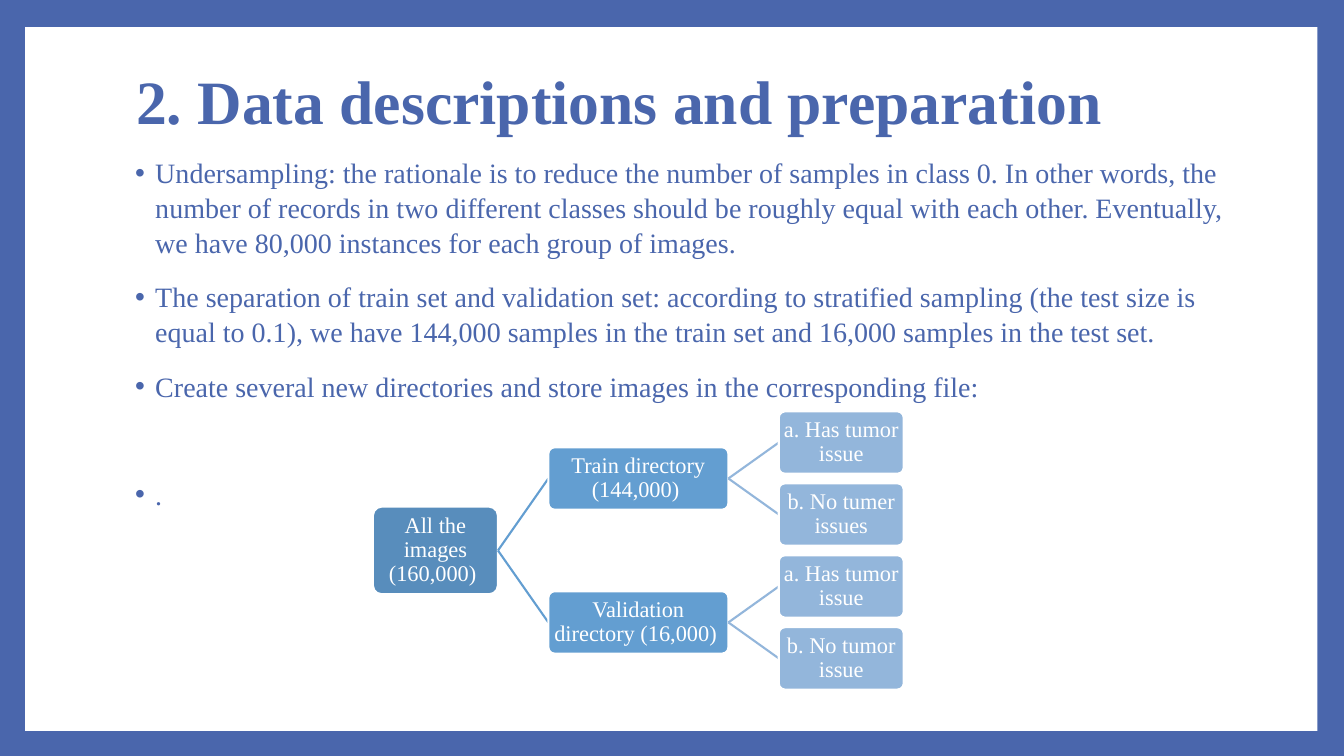
"""Builds the data preparation slide with its directory tree."""
import dataclasses

import pptx
import pptx.dml.color
import pptx.enum.shapes
import pptx.enum.text
import pptx.oxml.ns
import pptx.util
from lxml import etree

Pt = pptx.util.Pt
RGB = pptx.dml.color.RGBColor.from_string
SHAPES = pptx.enum.shapes.MSO_SHAPE
ALIGN = pptx.enum.text.PP_ALIGN
ANCHOR = pptx.enum.text.MSO_ANCHOR
NO_FIT = pptx.enum.text.MSO_AUTO_SIZE.NONE


@dataclasses.dataclass(frozen=True)
class Theme:
    typeface: str = "Times New Roman"
    accent: str = "4A66AC"
    white: str = "FFFFFF"
    levels: tuple = ("588DBC", "639ED1", "93B6DB")
    title_size: int = 44
    body_size: int = 20
    node_size: int = 16


theme = Theme()


def apply_format(target, values):
    for key, value in values.items():
        setattr(target, key, value)


def write(paragraph, text, size, color, bold=False):
    run = paragraph.add_run()
    run.text = text
    apply_format(run.font, {"name": theme.typeface, "size": Pt(size), "bold": bold})
    run.font.color.rgb = RGB(color)


deck = pptx.Presentation()
apply_format(deck, {"slide_width": Pt(960), "slide_height": Pt(540)})
slide = deck.slides.add_slide(deck.slide_layouts[1])
slide.background.fill.solid()
slide.background.fill.fore_color.rgb = RGB(theme.accent)

panel = slide.shapes.add_shape(SHAPES.RECTANGLE, Pt(18), Pt(19.4), Pt(923), Pt(502.6))
panel.shadow.inherit = False
panel.fill.solid()
panel.fill.fore_color.rgb = RGB(theme.white)
panel.line.fill.background()

title = slide.shapes.title
title.element.addprevious(panel.element)
apply_format(title, {"left": Pt(90), "top": Pt(18), "width": Pt(777.6), "height": Pt(106.6)})
apply_format(title.text_frame, {"vertical_anchor": ANCHOR.MIDDLE, "auto_size": NO_FIT})
heading = title.text_frame.paragraphs[0]
heading.alignment = ALIGN.LEFT
write(heading, "2. Data descriptions and preparation", theme.title_size, theme.accent, True)

steps = slide.placeholders[1]
apply_format(steps, {"left": Pt(85.7), "top": Pt(106.6), "width": Pt(800), "height": Pt(318)})
apply_format(steps.text_frame, {"vertical_anchor": ANCHOR.TOP, "auto_size": NO_FIT})
step_texts = [
    (0, "Undersampling: the rationale is to reduce the number of samples in class 0. "
        "In other words, the number of records in two different classes should be roughly "
        "equal with each other. Eventually, we have 80,000 instances for each group of images."),
    (14, "The separation of train set and validation set: according to stratified sampling "
         "(the test size is equal to 0.1), we have 144,000 samples in the train set and "
         "16,000 samples in the test set."),
    (14, "Create several new directories and store images in the corresponding file:"),
    (52, "."),
]
for index, (gap, text) in enumerate(step_texts):
    step = steps.text_frame.paragraphs[0] if index == 0 else steps.text_frame.add_paragraph()
    apply_format(step, {"space_before": Pt(gap), "line_spacing": 1.04, "alignment": ALIGN.LEFT})
    indents = step._p.get_or_add_pPr()
    indents.set("marL", str(Pt(18)))
    indents.set("indent", str(Pt(-14.4)))
    write(step, text, theme.body_size, theme.accent)

first_middle, row_pitch, column_gap, tree_left = 316.1, 51.4, 36, 266.4
widths, heights = (89.3, 128.6, 89.3), (62.6, 44.6, 44.6)
tree = [
    ("All the images (160,000) ", 0, 1.5, None),
    ("Train directory (144,000) ", 1, 0.5, 0),
    ("Validation directory (16,000) ", 1, 2.5, 0),
    ("a. Has tumor issue", 2, 0, 1),
    ("b. No tumer issues", 2, 1, 1),
    ("a. Has tumor issue", 2, 2, 2),
    ("b. No tumor issue", 2, 3, 2),
]
nodes = []
for text, level, row, parent in tree:
    left = tree_left + sum(widths[:level]) + column_gap * level
    top = first_middle + row * row_pitch - heights[level] / 2
    node = slide.shapes.add_shape(SHAPES.ROUNDED_RECTANGLE, Pt(left), Pt(top),
                                  Pt(widths[level]), Pt(heights[level]))
    node.adjustments[0] = 0.1
    node.shadow.inherit = False
    node.fill.solid()
    node.fill.fore_color.rgb = RGB(theme.levels[level])
    node.line.color.rgb = RGB(theme.white)
    node.line.width = Pt(1.5)
    margins = dict.fromkeys(("margin_left", "margin_right", "margin_top", "margin_bottom"), Pt(0.7))
    apply_format(node.text_frame, {"word_wrap": True, "vertical_anchor": ANCHOR.MIDDLE, **margins})
    label = node.text_frame.paragraphs[0]
    apply_format(label, {"alignment": ALIGN.CENTER, "line_spacing": 0.9})
    write(label, text, theme.node_size, theme.white)
    nodes.append(node)
    if parent is not None:
        branch = slide.shapes.add_connector(pptx.enum.shapes.MSO_CONNECTOR.STRAIGHT, 0, 0, 0, 0)
        branch.begin_connect(nodes[parent], 3)
        branch.end_connect(node, 1)
        branch.line.color.rgb = RGB(theme.levels[level])
        branch.line.width = Pt(1.5)
        etree.SubElement(branch.element.spPr, pptx.oxml.ns.qn("a:effectLst"))
        node.element.addprevious(branch.element)

deck.save("out.pptx")
